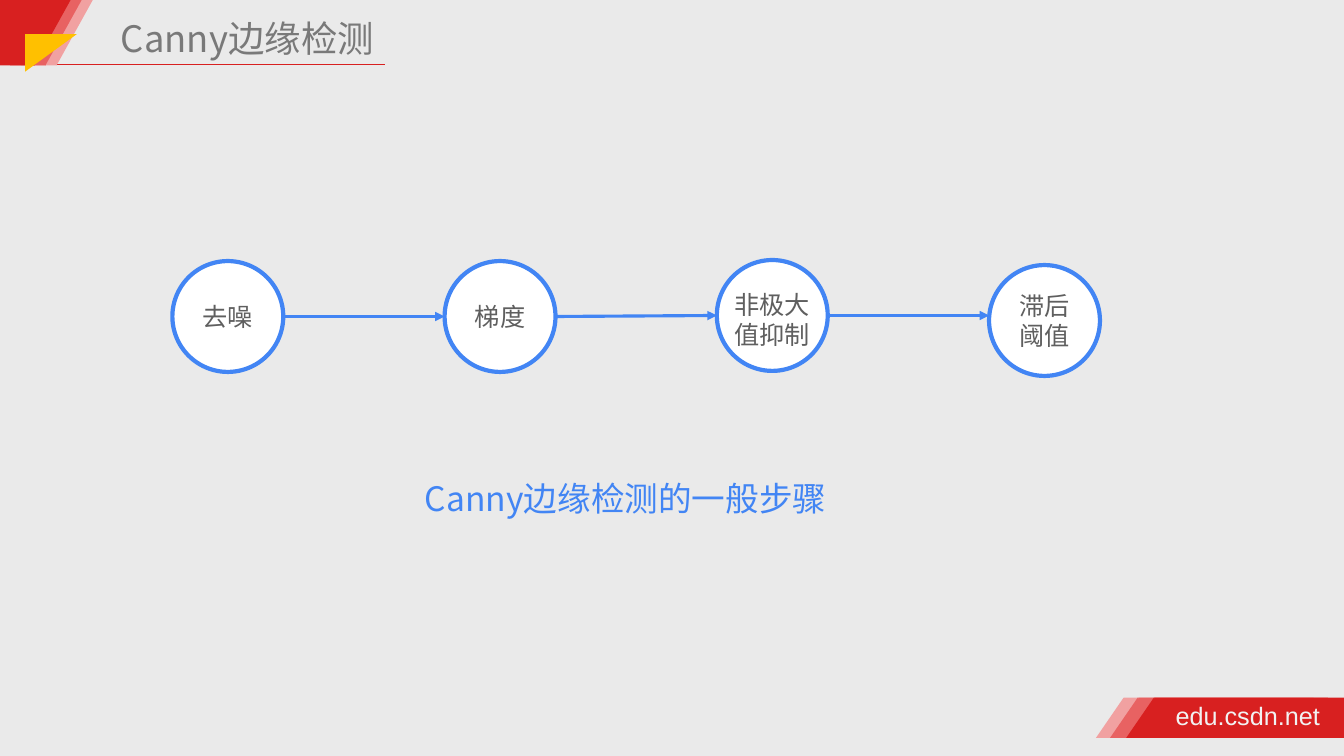
from pptx import Presentation
from pptx.dml.color import RGBColor
from pptx.enum.shapes import MSO_CONNECTOR, MSO_SHAPE
from pptx.enum.text import MSO_ANCHOR, PP_ALIGN
from pptx.oxml.ns import qn
from pptx.util import Inches, Pt
from lxml import etree

RECT, TRIANGLE = MSO_SHAPE.RECTANGLE, MSO_SHAPE.ISOSCELES_TRIANGLE
RIGHT_TRIANGLE, OVAL = MSO_SHAPE.RIGHT_TRIANGLE, MSO_SHAPE.OVAL
STRAIGHT = MSO_CONNECTOR.STRAIGHT
LEFT, CENTER = PP_ALIGN.LEFT, PP_ALIGN.CENTER
TOP, MIDDLE = MSO_ANCHOR.TOP, MSO_ANCHOR.MIDDLE

CJK = "Noto Sans CJK SC"
COLORS = {
    "background": "EAEAEA", "pink": "F1A1A1", "coral": "E86262", "red": "D82020",
    "gold": "FFC000", "blue": "4285F4", "white": "FFFFFF", "site": "F2F2F2",
    "title": "797979", "step": "5F5F5F",
}
BANDS = ("pink", "coral", "red")
DIAMETER = 1.1


def rgb(name):
    return RGBColor.from_string(COLORS[name])


def add_shape(slide, kind, box, fill, line=None, rotation=0):
    sp = slide.shapes.add_shape(kind, *map(Inches, box))
    sp.shadow.inherit = False
    sp.rotation = rotation
    sp.fill.solid()
    sp.fill.fore_color.rgb = rgb(fill)
    if line:
        sp.line.color.rgb = rgb(line)
        sp.line.width = Pt(3)
    else:
        sp.line.fill.background()
    return sp


def write(sp, text, size, color, font=CJK, align=CENTER, anchor=TOP,
          inset=(0.05, 0.05), wrap=True, spacing=None):
    """Fill a shape with text, one paragraph per line; inset is (x, y)."""
    tf = sp.text_frame
    tf.word_wrap = wrap
    tf.vertical_anchor = anchor
    tf.margin_left = tf.margin_right = Inches(inset[0])
    tf.margin_top = tf.margin_bottom = Inches(inset[1])
    for i, line in enumerate(text.split("\n")):
        p = tf.add_paragraph() if i else tf.paragraphs[0]
        p.alignment = align
        if spacing:
            p.line_spacing = spacing
        r = p.add_run()
        r.text = line
        r.font.size = Pt(size)
        r.font.name = font
        r.font.color.rgb = rgb(color)
        etree.SubElement(r.font._element, qn("a:ea"), typeface=font)


def add_text(slide, box, text, size, color, **fmt):
    write(slide.shapes.add_textbox(*map(Inches, box)), text, size, color, **fmt)


def add_line(slide, start, end, color, width, arrow=False):
    cn = slide.shapes.add_connector(STRAIGHT, *map(Inches, start + end))
    cn.line.color.rgb = rgb(color)
    cn.line.width = Pt(width)
    if arrow:
        etree.SubElement(cn.line._get_or_add_ln(), qn("a:tailEnd"), type="triangle")
    etree.SubElement(cn._element.spPr, qn("a:effectLst"))


def add_header(slide, x, y, w, h):
    add_line(slide, (x + 0.49, y + h - 0.01), (x + w, y + h - 0.01), "red", 1)
    for band, offset in zip(BANDS, (0.2, 0.09, -0.02)):
        add_shape(slide, RECT, (x + offset + 0.01, y, 0.35, h), band)
        add_shape(slide, TRIANGLE, (x + offset, y, 0.72, h), band, rotation=180)
    add_shape(slide, RIGHT_TRIANGLE, (x + 0.32, y + 0.27, 0.37, 0.51), "gold", rotation=90)
    add_text(slide, (x + 1.07, y + 0.05, 3.39, 0.56), "Canny边缘检测", 26, "title",
             align=LEFT, anchor=MIDDLE, inset=(0.13, 0.05), spacing=1.2)


def add_footer(slide, x, y, w, h):
    for band, offset in zip(BANDS, (0, 0.14, 0.3)):
        add_shape(slide, RECT, (x + offset + 0.28, y, w - 0.58, h), band)
        add_shape(slide, TRIANGLE, (x + offset, y, 0.55, h), band)
    add_text(slide, (x + 0.74, y - 0.02, 1.55, h), "edu.csdn.net", 18, "site",
             font="Arial", align=LEFT, wrap=False)


def add_steps(slide, x, y, pitch):
    """Draw the circles of the process, with an arrow between neighbours."""
    steps = (("去噪", 0.01), ("梯度", 0.01), ("非极大\n值抑制", 0), ("滞后阈值", 0.05))
    for i, (label, drop) in enumerate(steps):
        left, top = x + i * pitch, y + drop
        circle = add_shape(slide, OVAL, (left, top, DIAMETER, DIAMETER), "white", "blue")
        if "\n" in label:
            add_text(slide, (left - 0.1, top + 0.24, DIAMETER + 0.2, 0.71), label, 18,
                     "step", inset=(0.1, 0.05))
        else:
            write(circle, label, 18, "step", anchor=MIDDLE)
    middle = y + DIAMETER / 2
    for i, (start, end) in enumerate(((0.01, 0.01), (0.01, 0), (0, 0))):
        left = x + i * pitch
        add_line(slide, (left + DIAMETER, middle + start),
                 (left + pitch, middle + end), "blue", 2.25, arrow=True)


def add_caption(slide, x, y, w, h):
    add_text(slide, (x, y, w, h), "Canny边缘检测的一般步骤", 24, "blue", inset=(0.1, 0.05))


def main():
    prs = Presentation()
    prs.slide_width, prs.slide_height = Inches(13.33), Inches(7.5)
    slide = prs.slides.add_slide(prs.slide_layouts[6])
    slide.background.fill.solid()
    slide.background.fill.fore_color.rgb = rgb("background")
    add_header(slide, 0, 0, 3.82, 0.65)
    add_footer(slide, 10.87, 6.92, 2.46, 0.4)
    add_caption(slide, 4.09, 4.69, 4.23, 0.5)
    add_steps(slide, 1.71, 2.58, 2.7)
    prs.save("out.pptx")


if __name__ == "__main__":
    main()
